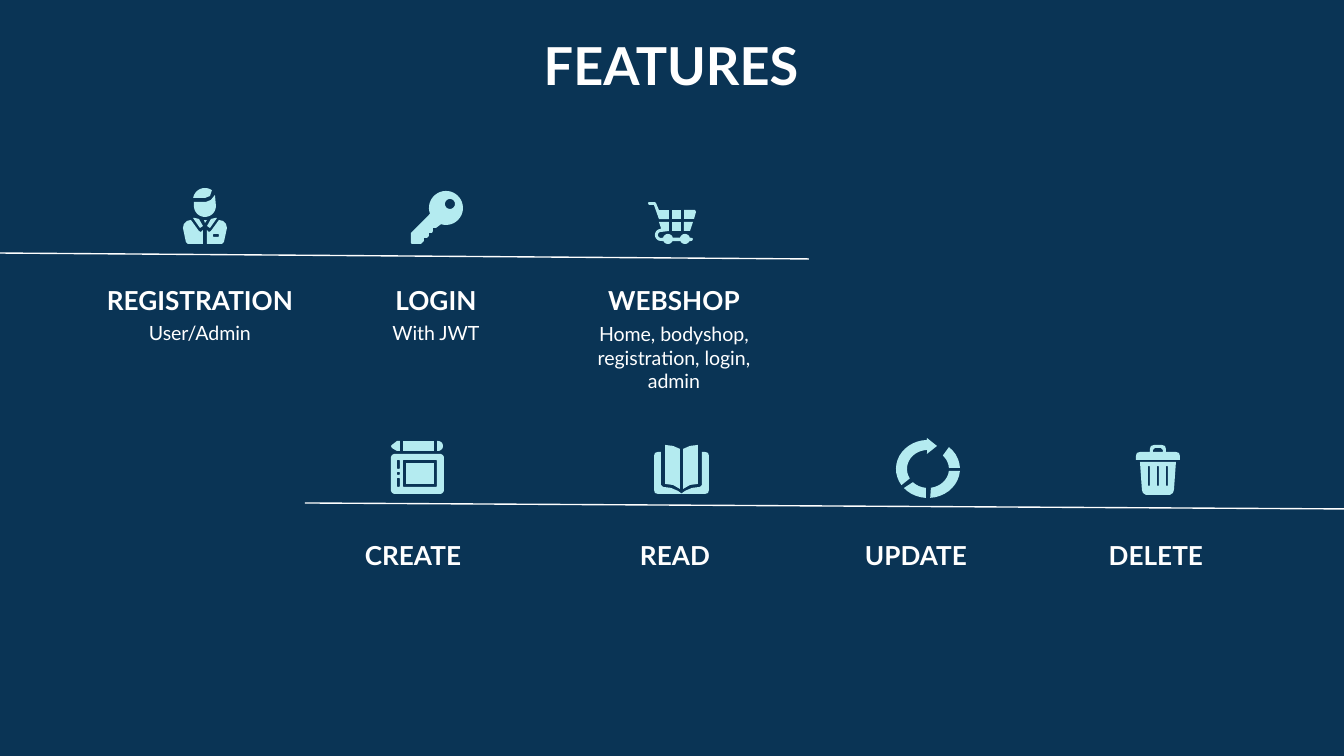
from math import cos, sin, radians
from lxml.etree import SubElement
from pptx import Presentation
from pptx.dml.color import RGBColor
from pptx.enum.shapes import MSO_CONNECTOR as Link
from pptx.enum.text import MSO_ANCHOR as Anchor, PP_ALIGN as Align
from pptx.oxml.ns import qn
from pptx.util import Pt

SCALE = 914400 / 134.4


def px(n):
    """Turn px into EMU."""
    return round(n * SCALE)


def tint(code):
    """Turn a hex string into a colour."""
    return RGBColor.from_string(code)


def arc(x, y, a, b, rx, ry=None):
    """List points on an ellipse from angle a to b, clockwise from the right."""
    ry = ry or rx
    count = max(2, round(abs(b - a) / 9))
    turns = [radians(a + (b - a) * i / count) for i in range(count + 1)]
    return [(x + rx * cos(t), y + ry * sin(t)) for t in turns]


def box(x, y, w, h, r=0):
    """List the corners of a box, rounded by r."""
    if not r:
        return [(x, y), (x + w, y), (x + w, y + h), (x, y + h)]
    return (arc(x + r, y + r, 180, 270, r) + arc(x + w - r, y + r, 270, 360, r)
            + arc(x + w - r, y + h - r, 0, 90, r) + arc(x + r, y + h - r, 90, 180, r))


def flip(loop, axis):
    """Mirror a loop about an upright axis."""
    return [(2 * axis - x, y) for x, y in loop]


def ring(a, b, c, d):
    """List a ring piece: outer edge a to b, inner edge c to d."""
    return arc(928, 469, a, b, 32, 29) + arc(928, 469, c, d, 21, 19)


class Deck:
    """Style and current slide."""
    font, white, aqua, navy = "Lato", "FFFFFF", "B4EBF0", "0A3455"

    def __init__(self):
        """Open a blank slide on a navy ground."""
        self.file = Presentation()
        self.file.slide_width, self.file.slide_height = px(1344), px(756)
        self.slide = self.file.slides.add_slide(self.file.slide_layouts[6])
        fill = self.slide.background.fill
        fill.solid()
        fill.fore_color.rgb = tint(self.navy)

    def text(self, words, x, y, w, h, size, bold=False, anchor=Anchor.TOP):
        """Add a centred text box."""
        frame = self.slide.shapes.add_textbox(px(x), px(y), px(w), px(h)).text_frame
        frame.word_wrap = True
        frame.vertical_anchor = anchor
        frame.margin_left = frame.margin_right = px(13)
        frame.margin_top = frame.margin_bottom = px(13)
        para = frame.paragraphs[0]
        para.alignment = Align.CENTER
        run = para.add_run()
        run.text = words
        run.font.name, run.font.size, run.font.bold = self.font, Pt(size), bold
        run.font.color.rgb = tint(self.white)

    def label(self, words, x, y):
        """Add a bold heading below an icon."""
        self.text(words, x, y, 262, 63, 14, True, Anchor.BOTTOM)

    def line(self, x, y, x2, y2):
        """Add a thin rule."""
        rule = self.slide.shapes.add_connector(Link.STRAIGHT, px(x), px(y), px(x2), px(y2))
        rule.line.color.rgb = tint(self.white)
        rule.line.width = Pt(0.75)
        SubElement(rule._element.spPr, qn("a:effectLst"))

    def icon(self, *parts):
        """Group parts, each a list of loops whose inner ones are holes."""
        group = self.slide.shapes.add_group_shape()
        for loops in parts:
            pen = None
            for loop in loops:
                first, *rest = [(px(x), px(y)) for x, y in loop]
                if pen:
                    pen.move_to(*first)
                else:
                    pen = group.shapes.build_freeform(*first)
                pen.add_line_segments(rest, close=True)
            part = pen.convert_to_shape()
            part.shadow.inherit = False
            part.fill.solid()
            part.fill.fore_color.rgb = tint(self.aqua)
            part.line.fill.background()


def user(deck):
    """Draw the person."""
    hair = arc(205, 200, 190, 305, 12) + [(210, 196), (205, 198)]
    face = [(194, 202), (206, 202), (211, 200), (215, 195)] + arc(205, 206, 0, 180, 11)
    collar = [(195, 218), (193, 218), (200, 228), (203, 226), (199, 219)]
    coat = [(191, 220), (187, 221), (184, 224), (183, 228), (186, 242), (188, 244),
            (203, 244), (203, 230), (201, 232), (199, 231)]
    knot = [(204, 220), (205, 223), (207, 220)]
    deck.icon([hair], [face], [collar], [flip(collar, 205)], [coat],
              [flip(coat, 205), box(213, 234, 6, 3, 1)], [knot])


def key(deck):
    """Draw the key."""
    teeth = [(436, 228), (433, 228), (433, 231), (432, 233), (429, 233), (429, 236),
             (427, 238), (424, 238), (424, 241), (421, 244), (412, 244), (411, 243),
             (411, 233)]
    deck.icon([arc(446, 208, 160, 467, 17) + teeth, arc(450, 204, 0, 351, 5)])


def cart(deck):
    """Draw the shopping cart."""
    grip = [(649, 202), (648, 203), (649, 205), (654, 205), (659, 219), (669, 219),
            (669, 210), (659, 210), (656, 203), (655, 202)]
    side = [(684, 210), (684, 219), (694, 219), (696, 212), (695, 210)]
    foot = [(684, 222), (684, 231), (690, 231), (693, 222)]
    base = ([(659, 222), (661, 228)] + arc(661, 235, 270, 90, 6)
            + arc(668, 239, 155, 25, 5) + arc(685, 239, 155, 25, 5)
            + [(692, 241), (693, 239), (692, 238)]
            + arc(685, 239, 345, 195, 5) + arc(668, 239, 345, 195, 5)
            + arc(661, 235, 90, 270, 3) + [(669, 231), (669, 222)])
    deck.icon([grip], [box(672, 210, 9, 9)], [side], [box(672, 222, 9, 9)], [foot], [base])


def pad(deck):
    """Draw the tablet and pencil."""
    tip = [(400, 441), (397, 441), (392, 445), (391, 446), (392, 448), (397, 451), (400, 451)]
    end = [(437, 441)] + arc(438, 446, -90, 90, 5) + [(437, 451)]
    keys = [box(397, y, 3, h, 1) for y, h in ((460, 9), (472, 3), (478, 9))]
    deck.icon([tip], [box(403, 441, 31, 10)], [end], [box(406, 463, 28, 21)],
              [box(391, 454, 53, 40, 4), box(403, 460, 34, 27, 1), *keys])


def book(deck):
    """Draw the open book."""
    page = [(698, 445), (690, 446), (683, 449), (683, 489), (690, 485), (698, 484)]
    cover = [(702, 452), (702, 485), (700, 487), (692, 488), (685, 491), (681, 494),
             (705, 494), (708, 493), (709, 490), (709, 456), (708, 453), (705, 452)]
    deck.icon(*[[loop] for part in (page, cover) for loop in (part, flip(part, 681.5))])


def cycle(deck):
    """Draw the turning ring."""
    head = [(927, 454), (937, 446), (927, 438)]
    deck.icon([ring(268, 146, 150, 268) + head], [ring(-49, -2, -3, -45)],
              [ring(4, 86, 82, 6)], [ring(139, 94, 96, 136)])


def bin_(deck):
    """Draw the waste bin."""
    can = [(1140, 462), (1142, 490), (1143, 493), (1146, 495)]
    lid = [(1136, 460), (1136, 456), (1137, 453), (1140, 452), (1150, 452), (1150, 449),
           (1151, 446), (1154, 445)]
    gap = [(1153, 452), (1153, 450), (1155, 448)]
    can, lid, gap = [half + flip(half, 1158)[::-1] for half in (can, lid, gap)]
    deck.icon([can, *[box(x, 466, 2, 20, 1) for x in (1148, 1157, 1166)]], [lid, gap])


def main():
    """Build the slide."""
    deck = Deck()
    deck.text("FEATURES", 288, 20, 766, 138, 28, True)
    for x, name, note in ((69, "REGISTRATION", "User/Admin"), (305, "LOGIN", "With JWT"),
                          (543, "WEBSHOP", "Home, bodyshop, registration, login, admin")):
        deck.label(name, x, 266)
        deck.text(note, x + 22, 309, 218, 148, 10.5)
    for x, name in ((282, "CREATE"), (544, "READ"), (785, "UPDATE"), (1025, "DELETE")):
        deck.label(name, x, 521)
    deck.line(809, 259, -7, 253)
    deck.line(1349, 509, 305, 503)
    for draw in (user, key, cart, pad, book, cycle, bin_):
        draw(deck)
    deck.file.save("out.pptx")


if __name__ == "__main__":
    main()
